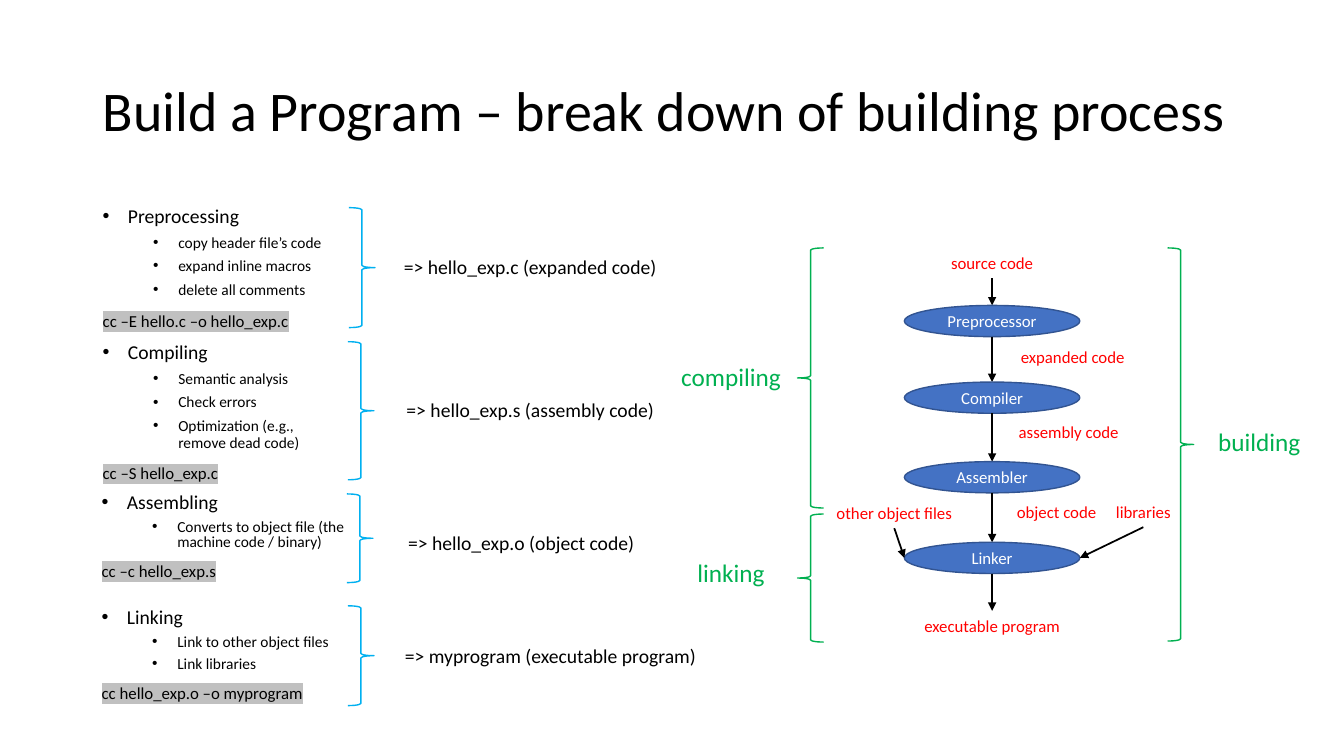
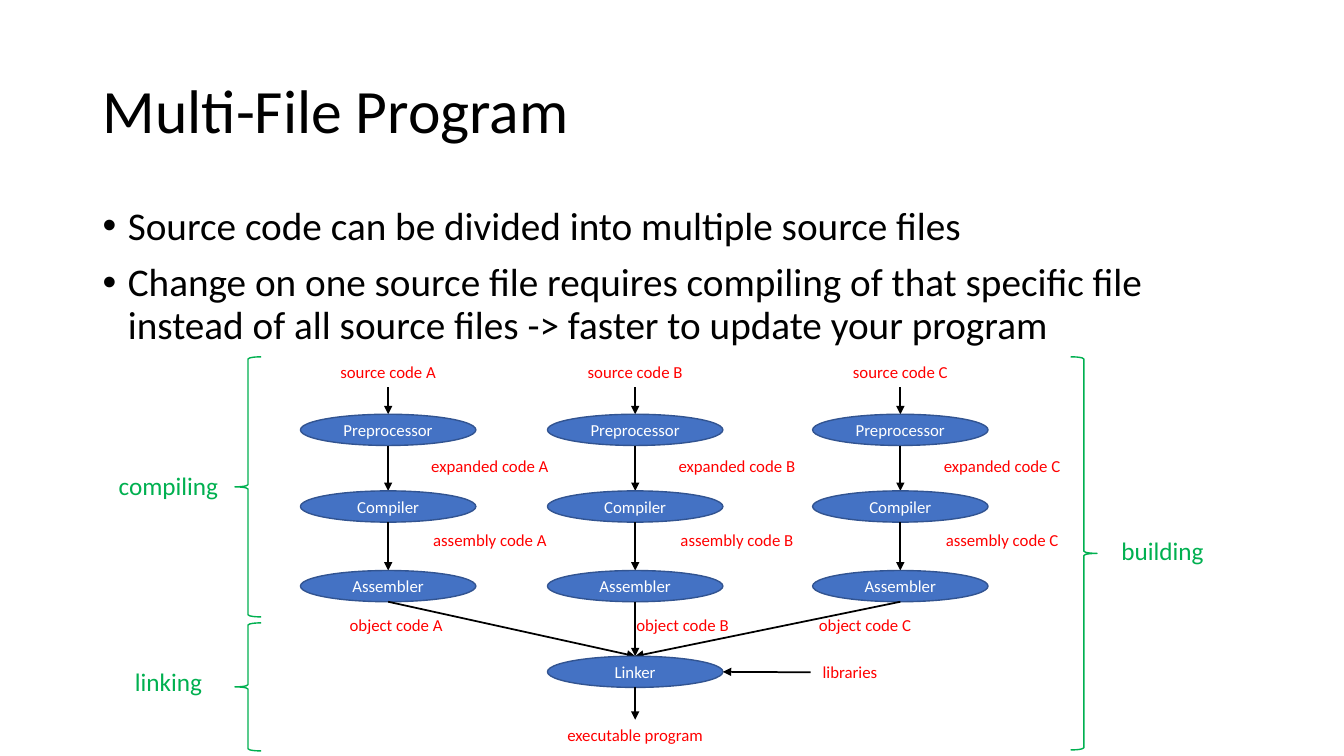
from pptx import Presentation
from pptx.dml.color import RGBColor
from pptx.enum.shapes import MSO_CONNECTOR, MSO_SHAPE
from pptx.enum.text import MSO_ANCHOR, PP_ALIGN
from pptx.oxml.ns import qn
from pptx.util import Inches, Pt
from lxml import etree

OVAL, LEFT_BRACE, RIGHT_BRACE = MSO_SHAPE.OVAL, MSO_SHAPE.LEFT_BRACE, MSO_SHAPE.RIGHT_BRACE
STRAIGHT = MSO_CONNECTOR.STRAIGHT
CENTER, LEFT = PP_ALIGN.CENTER, PP_ALIGN.LEFT
MIDDLE, TOP = MSO_ANCHOR.MIDDLE, MSO_ANCHOR.TOP

FONT = "Calibri"
COLORS = {"text": "000000", "label": "FF0000", "group": "00B050", "step": "00B0F0",
          "oval": "4472C4", "edge": "325491", "white": "FFFFFF", "code": "C0C0C0"}

STEPS = [
    {"name": "Preprocessing", "command": "cc –E hello.c –o hello_exp.c",
     "details": ["copy header file’s code", "expand inline macros", "delete all comments"],
     "result": "=> hello_exp.c (expanded code)", "box": (0.92, 2, 2.62, 1.4), "spacing": 0.9,
     "brace": (3.46, 2.06, 1.19), "result_at": (5.26, 2.48)},
    {"name": "Compiling", "command": "cc –S hello_exp.c",
     "details": ["Semantic analysis", "Check errors", "Optimization (e.g., remove dead code)"],
     "result": "=> hello_exp.s (assembly code)", "box": (0.92, 3.35, 2.54, 1.65), "spacing": 0.9,
     "brace": (3.45, 3.39, 1.37), "result_at": (5.26, 3.9)},
    {"name": "Assembling", "command": "cc –c hello_exp.s",
     "details": ["Converts to object file (the machine code / binary)"],
     "result": "=> hello_exp.o (object code)", "box": (0.91, 4.86, 2.91, 1.03), "spacing": 0.8,
     "brace": (3.44, 4.9, 0.88), "result_at": (5.17, 5.22)},
    {"name": "Linking", "command": "cc hello_exp.o –o myprogram",
     "details": ["Link to other object files", "Link libraries"],
     "result": "=> myprogram (executable program)", "box": (0.91, 6, 2.91, 1.03), "spacing": 0.8,
     "brace": (3.45, 6.01, 0.99), "result_at": (5.46, 6.34)},
]
POINTS = ["Source code can be divided into multiple source files",
          "Change on one source file requires compiling of that specific file "
          "instead of all source files -> faster to update your program"]
STAGES = [("Preprocessor", 0.57), ("Compiler", 1.33), ("Assembler", 2.12)]
FILES = [("A", 3.85, 3.93), ("B", 6.3, 6.77), ("C", 8.93, 8.58)]
OVAL_W, OVAL_H, LABEL_H = 1.74, 0.31, 0.3
BRACE_W, GROUP_W = 0.26, 1.22

prs = Presentation()
prs.slide_width, prs.slide_height = Inches(13.33), Inches(7.5)


def inches(*values):
    return [Inches(v) for v in values]


def rgb(name):
    return RGBColor.from_string(COLORS[name])


def style(p, size, color="text", align=LEFT):
    p.alignment = align
    for r in p.runs:
        r.font.name, r.font.size = FONT, Pt(size)
        r.font.color.rgb = rgb(color)


def text_box(slide, box, lines, anchor=TOP):
    tf = slide.shapes.add_textbox(*inches(*box)).text_frame
    tf.word_wrap, tf.vertical_anchor = True, anchor
    tf.text = "\n".join(lines)
    return tf


def space(p, spacing, before):
    p.line_spacing, p.space_before = spacing, Pt(before)


def bullet(p, indent):
    pPr = p._p.get_or_add_pPr()
    pPr.set("marL", str(Inches(indent)))
    pPr.set("indent", str(-Inches(0.25)))
    etree.SubElement(pPr, qn("a:buFont")).set("typeface", "Arial")
    etree.SubElement(pPr, qn("a:buChar")).set("char", "•")


def highlight(r):
    mark = etree.Element(qn("a:highlight"))
    etree.SubElement(mark, qn("a:srgbClr")).set("val", COLORS["code"])
    r._r.rPr.find(qn("a:solidFill")).addnext(mark)


def label(slide, cx, y, text, size=12, color="label", width=1.8):
    tf = text_box(slide, (cx - width / 2, y, width, LABEL_H), [text])
    tf.margin_left = tf.margin_right = 0
    style(tf.paragraphs[0], size, color, CENTER)


def result(slide, cx, y, text):
    label(slide, cx, y, text, 14, "text", 3.35)


def arrow(slide, x1, y1, x2, y2):
    c = slide.shapes.add_connector(STRAIGHT, *inches(x1, y1, x2, y2))
    c.line.width, c.line.color.rgb = Pt(1.25), rgb("text")
    spPr = c._element.spPr
    etree.SubElement(spPr.find(qn("a:ln")), qn("a:tailEnd")).set("type", "triangle")
    etree.SubElement(spPr, qn("a:effectLst"))


def shape(slide, kind, box, line):
    sp = slide.shapes.add_shape(kind, *inches(*box))
    sp.shadow.inherit = False
    sp.line.width, sp.line.color.rgb = Pt(1), rgb(line)
    sp.fill.background()
    return sp


def oval(slide, cx, y, text):
    sp = shape(slide, OVAL, (cx - OVAL_W / 2, y, OVAL_W, OVAL_H), "edge")
    sp.fill.solid()
    sp.fill.fore_color.rgb = rgb("oval")
    tf = sp.text_frame
    tf.text, tf.vertical_anchor = text, MIDDLE
    style(tf.paragraphs[0], 12, "white", CENTER)


def pipeline(slide, cx, top, suffix, expanded_dx, assembly_dx):
    label(slide, cx, top, "source code" + suffix)
    start = top + LABEL_H
    for name, dy in STAGES:
        arrow(slide, cx, start, cx, top + dy)
        oval(slide, cx, top + dy, name)
        start = top + dy + OVAL_H
    label(slide, cx + expanded_dx, top + 0.93, "expanded code" + suffix)
    label(slide, cx + assembly_dx, top + 1.67, "assembly code" + suffix)
    return start


def linker(slide, cx, y, end):
    oval(slide, cx, y, "Linker")
    arrow(slide, cx, y + OVAL_H, cx, end)
    label(slide, cx, end, "executable program")


def groups(slide, left, right, top):
    half = GROUP_W / 2
    for kind, x, dy, height, cx, text_dy, text in [
            (LEFT_BRACE, left, 0, 2.58, left - 1.27 + half, 1.08, "compiling"),
            (LEFT_BRACE, left, 2.64, 1.27, left - 1.27 + half, 3.02, "linking"),
            (RIGHT_BRACE, right, 0, 3.9, right + 0.3 + half, 1.72, "building")]:
        shape(slide, kind, (x, top + dy, BRACE_W, height), "group")
        label(slide, cx, top + text_dy, text, 18, "group", GROUP_W)


def new_slide(title, size):
    slide = prs.slides.add_slide(prs.slide_layouts[6])
    p = text_box(slide, (0.92, 0.4, 11.5, 1.45), [title], MIDDLE).paragraphs[0]
    p.line_spacing = 0.9
    style(p, size)
    return slide


def step_list(slide, step):
    lines = [step["name"], *step["details"], step["command"]]
    first, *details, command = text_box(slide, step["box"], lines).paragraphs
    for p, size, before, indent in [(first, 14, 10, 0.25),
                                    *((p, 11, 5, 0.75) for p in details),
                                    (command, 12, 10, None)]:
        style(p, size)
        space(p, step["spacing"], before)
        if indent:
            bullet(p, indent)
    highlight(command.runs[0])
    x, y, height = step["brace"]
    shape(slide, RIGHT_BRACE, (x, y, BRACE_W, height), "step")
    result(slide, *step["result_at"], step["result"])


def build_process():
    slide = new_slide("Build a Program – break down of building process", 40)
    cx, top, link_y = 9.84, 2.46, 5.38
    end = pipeline(slide, cx, top, "", 0.8, 0.76)
    arrow(slide, cx, end, cx, link_y)
    linker(slide, cx, link_y, 6.06)
    side_y = link_y + OVAL_H / 2
    for text, x, y, side in [("other object files", 8.87, 4.94, -1), ("libraries", 11.34, 4.93, 1)]:
        label(slide, x, y, text)
        arrow(slide, x, y + LABEL_H, cx + side * OVAL_W / 2, side_y)
    label(slide, 10.48, 4.93, "object code")
    groups(slide, 7.91, 11.58, top)
    for step in STEPS:
        step_list(slide, step)


def multi_file():
    slide = new_slide("Multi-File Program", 44)
    for p in text_box(slide, (0.92, 2, 11.5, 1.62), POINTS).paragraphs:
        style(p, 28)
        space(p, 0.9, 10)
        bullet(p, 0.25)
    top, link_x, link_y = 3.54, 6.3, 6.51
    for name, cx, object_x in FILES:
        end = pipeline(slide, cx, top, " " + name, 1.01, 1.01)
        arrow(slide, cx, end, link_x, link_y)
        label(slide, object_x, 6.05, "object code " + name)
    linker(slide, link_x, link_y, 7.14)
    label(slide, 8.43, 6.52, "libraries")
    arrow(slide, 8.04, 6.67, link_x + OVAL_W / 2, link_y + OVAL_H / 2)
    groups(slide, 2.33, 10.62, top)


build_process()
multi_file()
prs.save("out.pptx")
